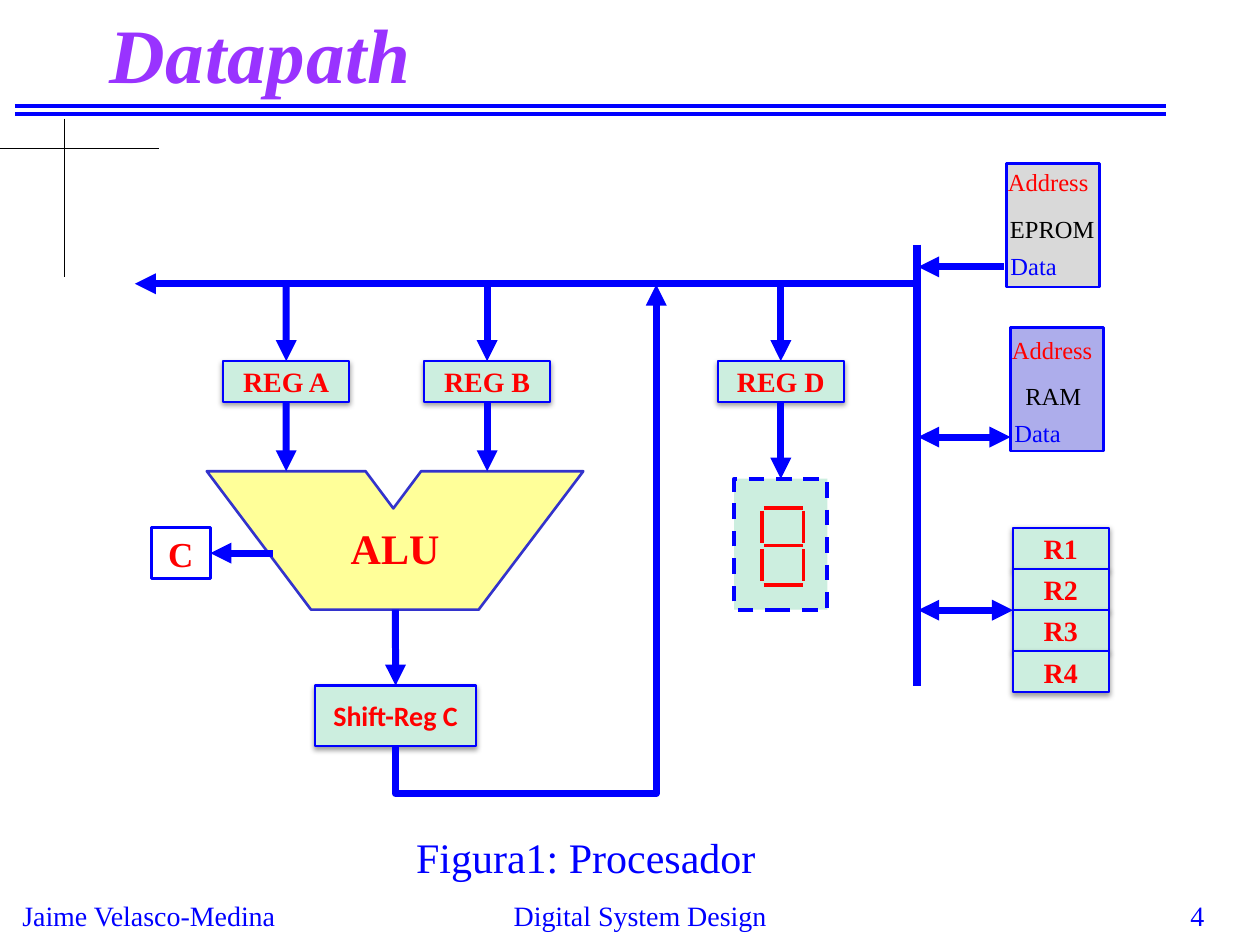
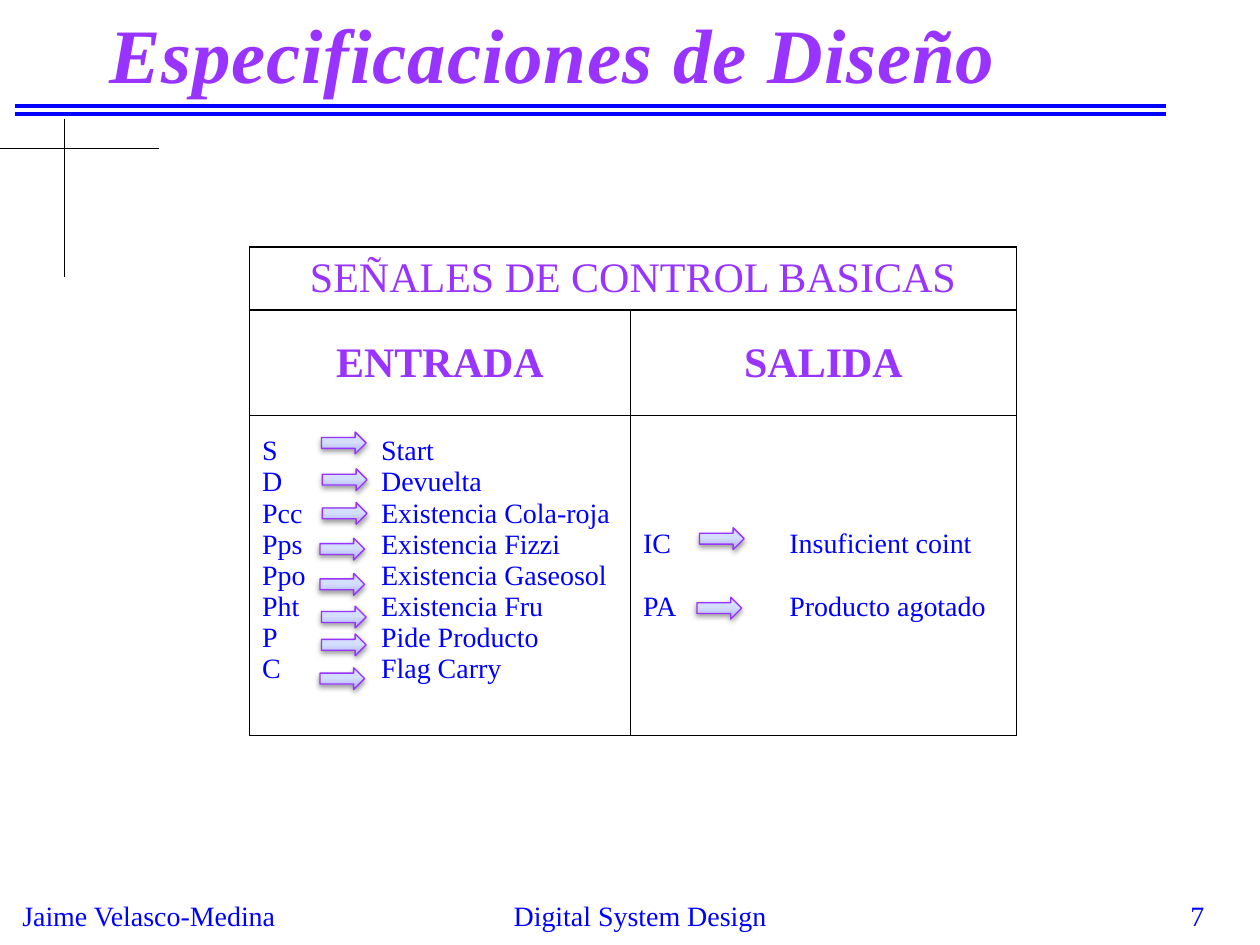
from copy import deepcopy

from lxml.etree import SubElement
from pptx import Presentation
from pptx.dml.color import RGBColor as RGB
from pptx.enum.dml import MSO_LINE
from pptx.enum.shapes import MSO_CONNECTOR as CONN, MSO_SHAPE as SHAPE
from pptx.enum.text import MSO_ANCHOR as ANCHOR, MSO_AUTO_SIZE as AUTO, PP_ALIGN as ALIGN
from pptx.oxml import parse_xml
from pptx.oxml.ns import nsdecls, qn
from pptx.util import Cm, Pt

C = {
    "blue": "0000FF", "purple": "9933FF", "red": "FF0000", "black": "000000",
    "white": "FFFFFF", "mint": "CCEEDF", "yellow": "FFFF99", "indigo": "3333CC",
    "grey": "D9D9D9", "lilac": "ADADEB", "sky": "D4DEFF", "sage": "96AB94",
}
SERIF = "Times New Roman"
SHADOW = parse_xml(
    f'<a:outerShdw {nsdecls("a")} blurRad="39370" dist="20320" dir="5400000" rotWithShape="0">'
    f'<a:srgbClr val="{C["black"]}"><a:alpha val="38000"/></a:srgbClr></a:outerShdw>')
GRADIENT = parse_xml(
    f'<a:gradFill {nsdecls("a")} rotWithShape="1"><a:gsLst>'
    + "".join(f'<a:gs pos="{pos}000"><a:srgbClr val="{C[name]}"/></a:gs>'
              for pos, name in [(0, "lilac"), (53, "sky"), (83, "sky"), (100, "sage")])
    + '</a:gsLst><a:lin ang="16200000" scaled="0"/></a:gradFill>')


def write(tf, text, size=16, color="blue", bold=False, italic=False, font=SERIF,
          align=ALIGN.LEFT, anchor=ANCHOR.TOP, wrap=True, spacing=0, before=0, tab=0):
    """Fill a text frame, one paragraph for each line of text."""
    tf.word_wrap = wrap
    tf.vertical_anchor = anchor
    tf.text = text
    for i, p in enumerate(tf.paragraphs):
        p.alignment = align
        if before and i:
            p.space_before = Pt(before)
        if tab:
            tabs = SubElement(p._p.get_or_add_pPr(), qn("a:tabLst"))
            SubElement(tabs, qn("a:tab"), pos=str(Cm(tab)), algn="l")
        for r in p.runs:
            f = r.font
            f.name, f.size, f.bold, f.italic = font, Pt(size), bold, italic
            f.color.rgb = RGB.from_string(C[color])
            if spacing:
                r._r.get_or_add_rPr().set("spc", str(spacing))


def connect(s, x1, y1, x2, y2, color="blue", width=4, head=False, tail=False,
            start=None, end=None, kind=CONN.STRAIGHT):
    """Draw a connector; start and end are (shape, site) pairs."""
    cn = s.shapes.add_connector(kind, Cm(x1), Cm(y1), Cm(x2), Cm(y2))
    if start:
        cn.begin_connect(*start)
    if end:
        cn.end_connect(*end)
    cn.line.color.rgb = RGB.from_string(C[color])
    cn.line.width = Pt(width)
    ln = cn.line._get_or_add_ln()
    for wanted, tag in [(head, "a:headEnd"), (tail, "a:tailEnd")]:
        if wanted:
            SubElement(ln, qn(tag), type="triangle")
    SubElement(cn._element.spPr, qn("a:effectLst"))
    return cn


prs = Presentation()
prs.slide_width, prs.slide_height = Cm(25.4), Cm(19.05)
shadowed = []

# Shared frame: title, double rule, corner cross and footer
slides = []
for title, number in [("Datapath", "4"), ("Especificaciones de Diseño", "7")]:
    s = prs.slides.add_slide(prs.slide_layouts[5])
    slides.append(s)
    for y in (2.13, 2.29):
        connect(s, 0.3, y, 23.5, y, width=2.25)
    connect(s, 0, 3, 3.2, 3, color="black", width=0.75)
    connect(s, 1.3, 2.39, 1.3, 5.59, color="black", width=0.75)
    sp = s.shapes.title
    sp.left, sp.top, sp.width, sp.height = Cm(1.95), Cm(0), Cm(22), Cm(2.13)
    write(sp.text_frame, title, size=44, color="purple", bold=True, italic=True, spacing=50)
    sp.text_frame.auto_size = AUTO.NONE
    for x, w, text, align in [(0.2, 6, "Jaime Velasco-Medina", ALIGN.LEFT),
                              (8.46, 8.89, "Digital System Design", ALIGN.CENTER),
                              (19.25, 5.28, number, ALIGN.RIGHT)]:
        tb = s.shapes.add_textbox(Cm(x), Cm(17.98), Cm(w), Cm(0.9))
        write(tb.text_frame, text, align=align)

# ---- Slide 1: datapath ----
s = slides[0]
tb = s.shapes.add_textbox(Cm(7.81), Cm(16.64), Cm(8), Cm(1.27))
write(tb.text_frame, "Figura1: Procesador", size=24, align=ALIGN.CENTER)

# Registers, carry flag and display
BUS_X, BUS_Y = 18.49, 5.72
boxes = {}
REGS = [("REG A", 4.5, 7.28, 2.54, 0.82), ("REG B", 8.55, 7.28, 2.54, 0.82),
        ("REG D", 14.47, 7.28, 2.54, 0.82), ("Shift-Reg C", 6.35, 13.82, 3.25, 1.22)]
REGS += [(f"R{i + 1}", 20.42, 10.64 + i * 0.83, 1.93, 0.83) for i in range(4)]
for name, x, y, w, h in REGS + [("C", 3.05, 10.64, 1.19, 1.02), ("", 14.8, 9.65, 1.88, 2.64)]:
    sp = s.shapes.add_shape(SHAPE.RECTANGLE, Cm(x), Cm(y), Cm(w), Cm(h))
    sp.shadow.inherit = False
    sp.fill.solid()
    sp.fill.fore_color.rgb = RGB.from_string(C["mint"])
    sp.line.color.rgb = RGB.from_string(C["blue"])
    sp.line.width = Pt(1.25)
    if name == "C":
        sp.fill.background()
        sp.line.width = Pt(1.5)
    elif not name:
        sp.line.width = Pt(2.25)
        sp.line.dash_style = MSO_LINE.DASH
    else:
        shadowed.append(sp)
    if name:
        write(sp.text_frame, name, size=20 if name == "C" else 16, color="red", bold=True,
              font="Calibri" if name == "Shift-Reg C" else SERIF,
              align=ALIGN.CENTER, anchor=ANCHOR.MIDDLE)
    boxes[name] = sp
display, shift = boxes[""], boxes["Shift-Reg C"]

# Seven segments
for y in (10.24, 11, 11.79):
    connect(s, 15.4, y, 16.18, y, color="red", width=2)
for x in (15.36, 16.2):
    for y in (10.3, 11.07):
        connect(s, x, y, x, y + 0.65, color="red", width=2)

# ALU
fb = s.shapes.build_freeform(Cm(4.17), Cm(9.5))
fb.add_line_segments([(Cm(x), Cm(y)) for x, y in [
    (7.37, 9.5), (7.93, 10.25), (8.49, 9.5), (11.76, 9.5), (9.65, 12.29), (6.27, 12.29)]])
alu = fb.convert_to_shape()
alu.shadow.inherit = False
alu.fill.solid()
alu.fill.fore_color.rgb = RGB.from_string(C["yellow"])
alu.line.color.rgb = RGB.from_string(C["indigo"])
alu.line.width = Pt(1.5)
write(alu.text_frame, "ALU", size=24, color="red", bold=True,
      align=ALIGN.CENTER, anchor=ANCHOR.MIDDLE)
alu.text_frame.margin_top = Cm(0.4)

# Memories
for name, x, y, fill, name_dx, label_dy in [("EPROM", 20.29, 3.3, "grey", -0.18, 0),
                                            ("RAM", 20.37, 6.6, "lilac", 0.05, 0.07)]:
    sp = s.shapes.add_shape(SHAPE.RECTANGLE, Cm(x), Cm(y), Cm(1.88), Cm(2.49))
    sp.shadow.inherit = False
    sp.fill.solid()
    sp.fill.fore_color.rgb = RGB.from_string(C[fill])
    sp.line.color.rgb = RGB.from_string(C["blue"])
    sp.line.width = Pt(1.5)
    for label, dx, dy, color in [("Address", -0.22, -0.05, "red"),
                                 (name, name_dx, 0.89, "black"),
                                 ("Data", -0.17, 1.63, "blue")]:
        tb = s.shapes.add_textbox(Cm(x + dx), Cm(y + dy + label_dy), Cm(2.92), Cm(0.86))
        write(tb.text_frame, label, size=14, color=color)

# Buses
connect(s, BUS_X, 4.93, BUS_X, 13.82, width=4.5)
connect(s, 2.72, BUS_Y, BUS_X, BUS_Y, head=True)
for y, x, tail in [(5.38, 20.24, False), (8.81, 20.37, True), (12.3, 20.42, True)]:
    connect(s, BUS_X + 0.02, y, x, y, head=True, tail=tail)

# Links between blocks
for name, x in [("REG A", 5.77), ("REG B", 9.82), ("REG D", 15.74)]:
    reg = boxes[name]
    connect(s, x, BUS_Y, x, 7.28, tail=True, end=(reg, 0))
    connect(s, x, 8.1, x, 9.5, tail=True, start=(reg, 2),
            end=(display, 0) if name == "REG D" else None)
connect(s, 5.5, 11.15, 4.24, 11.15, tail=True, end=(boxes["C"], 3))
connect(s, 7.97, 12.29, 7.97, 13.82, tail=True, end=(shift, 0))

# Return path: a quarter-turned elbow that dips below the shift register
x1, y1, x2, y2, dip = 7.97, 15.04, 13.23, 5.74, 0.96
cx, cy, half_w, half_h = (x1 + x2) / 2, (y1 + y2) / 2, (y1 - y2) / 2, (x2 - x1) / 2
cn = connect(s, cx + half_w, cy + half_h, cx - half_w, cy - half_h, tail=True, kind=CONN.ELBOW)
cn._element.spPr.find(qn("a:xfrm")).set("rot", "5400000")
geom = cn._element.spPr.find(qn("a:prstGeom"))
av = geom.find(qn("a:avLst"))
if av is None:
    av = SubElement(geom, qn("a:avLst"))
SubElement(av, qn("a:gd"), name="adj1", fmla=f"val {round(-dip / (y1 - y2) * 100000)}")

# ---- Slide 2: control signals ----
s = slides[1]
INPUTS = [("S", "Start", 6.48, 8.71), ("D", "Devuelta", 6.5, 9.45),
          ("Pcc", "Existencia Cola-roja", 6.5, 10.13), ("Pps", "Existencia Fizzi", 6.45, 10.85),
          ("Ppo", "Existencia Gaseosol", 6.45, 11.56), ("Pht", "Existencia Fru", 6.48, 12.22),
          ("P", "Pide Producto", 6.48, 12.78), ("C", "Flag Carry", 6.45, 13.46)]
OUTPUTS = [("IC", "Insuficient coint", 14.1, 10.64), ("PA", "Producto agotado", 14.05, 12.04)]

# Table grid
tbl = s.shapes.add_table(3, 2, Cm(5.03), Cm(4.98), Cm(15.46), Cm(9.85)).table
tbl.first_row = tbl.horz_banding = False
for col, w in zip(tbl.columns, (7.68, 7.78)):
    col.width = Cm(w)
for row, h in zip(tbl.rows, (1.27, 2.13, 6.45)):
    row.height = Cm(h)
tbl.cell(0, 0).merge(tbl.cell(0, 1))
for cell in tbl.iter_cells():
    tc_pr = cell._tc.get_or_add_tcPr()
    for side in "LRTB":
        ln = SubElement(tc_pr, qn(f"a:ln{side}"), w=str(Pt(1)))
        SubElement(SubElement(ln, qn("a:solidFill")), qn("a:srgbClr"), val=C["black"])
    cell.fill.solid()
    cell.fill.fore_color.rgb = RGB.from_string(C["white"])
    cell.vertical_anchor = ANCHOR.MIDDLE

# Headings and signal lists
for r, c, text, bold in [(0, 0, "SEÑALES DE CONTROL BASICAS", False),
                         (1, 0, "ENTRADA", True), (1, 1, "SALIDA", True)]:
    write(tbl.cell(r, c).text_frame, text, size=24, color="purple", bold=bold,
          align=ALIGN.CENTER)
for c, signals, tab, before in [(0, INPUTS, 2.4, 0), (1, OUTPUTS, 2.95, 18)]:
    lines = "\n".join(f"{code}\t{meaning}" for code, meaning, _, _ in signals)
    write(tbl.cell(2, c).text_frame, lines, tab=tab, before=before)
tbl.cell(2, 0).margin_bottom = Cm(0.75)
for r in range(3):
    for c in range(2):
        tbl.cell(r, c).vertical_anchor = ANCHOR.MIDDLE

# Arrows from code to meaning
for _, _, x, y in INPUTS + OUTPUTS:
    sp = s.shapes.add_shape(SHAPE.RIGHT_ARROW, Cm(x), Cm(y), Cm(0.9), Cm(0.44))
    sp._element.spPr.insert(2, deepcopy(GRADIENT))
    sp.line.color.rgb = RGB.from_string(C["purple"])
    sp.line.width = Pt(0.75)
    sp.shadow.inherit = False
    shadowed.append(sp)

# Soft shadow under registers and arrows
for sp in shadowed:
    sp._element.spPr.find(qn("a:effectLst")).append(deepcopy(SHADOW))

prs.save("out.pptx")
